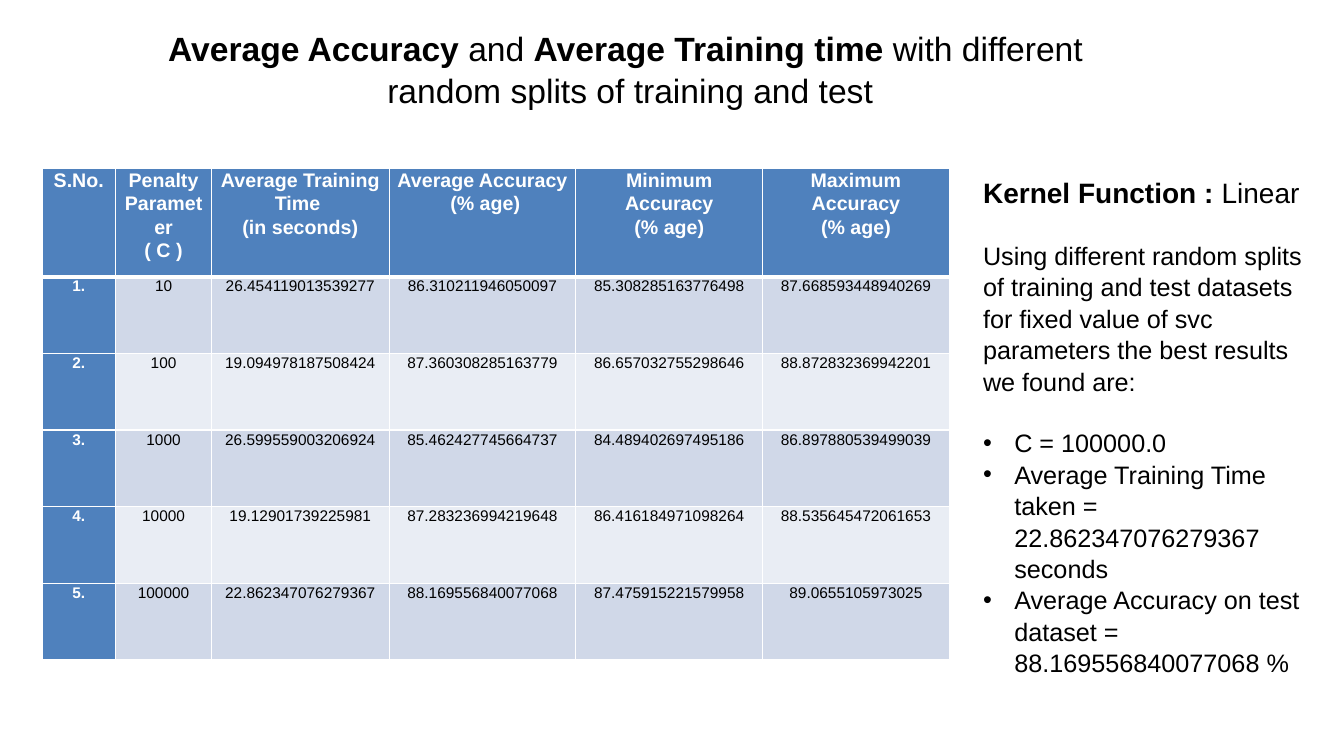
from dataclasses import dataclass

from lxml.etree import SubElement
from pptx import Presentation
from pptx.dml.color import RGBColor as RGB
from pptx.enum.text import MSO_ANCHOR as Anchor, MSO_AUTO_SIZE as AutoSize, PP_ALIGN as Align
from pptx.oxml import parse_xml
from pptx.oxml.ns import nsdecls, qn
from pptx.util import Inches, Pt


@dataclass(frozen=True)
class Theme:
    font: str = "Arial"
    ink: str = "000000"
    paper: str = "FFFFFF"
    accent: str = "4F81BD"
    bands: tuple = ("D0D8E8", "E9EDF4")
    title: int = 24
    heading: int = 20
    body: int = 18
    table_head: int = 14
    table_body: int = 11
    prose_spacing: float = 1.04
    table_spacing: float = 1.07


THEME = Theme()
UNIT = Inches(1 / 12)  # The slide is a grid of 160 columns by 90 rows

HEADERS = ["S.No.", "Penalty Parameter\n( C )", "Average Training Time \n(in seconds)",
           "Average Accuracy\n (% age)", "Minimum Accuracy\n(% age)", "Maximum Accuracy\n(% age)"]
RESULTS = [
    ["1.", "10", "26.454119013539277", "86.310211946050097", "85.308285163776498", "87.668593448940269"],
    ["2.", "100", "19.094978187508424", "87.360308285163779", "86.657032755298646", "88.872832369942201"],
    ["3.", "1000", "26.599559003206924", "85.462427745664737", "84.489402697495186", "86.897880539499039"],
    ["4.", "10000", "19.12901739225981", "87.283236994219648", "86.416184971098264", "88.535645472061653"],
    ["5.", "100000", "22.862347076279367", "88.169556840077068", "87.475915221579958", "89.0655105973025"],
]
COLUMN_SHARES = [0.73, 0.95, 1.76, 1.85, 1.85, 1.85]
ROW_SHARES = [1.08] + [0.76] * len(RESULTS)
BEST_RESULTS = ["C = 100000.0",
                "Average Training Time taken = 22.862347076279367 seconds",
                "Average Accuracy on test dataset = 88.169556840077068 %"]


def write(paragraph, text, size, color=THEME.ink, bold=False, align=Align.LEFT,
          spacing=THEME.prose_spacing, after=0):
    """Append one formatted run to a paragraph."""
    paragraph.alignment = align
    paragraph.line_spacing = spacing
    paragraph.space_before, paragraph.space_after = Pt(0), Pt(after)
    run = paragraph.add_run()
    run.text = text
    run.font.name, run.font.size, run.font.bold = THEME.font, Pt(size), bold
    run.font.color.rgb = RGB.from_string(color)


def place(placeholder, box, bottom):
    """Move a placeholder to its grid box and return its text frame."""
    placeholder.left, placeholder.top, placeholder.width, placeholder.height = (
        round(n * UNIT) for n in box)
    frame = placeholder.text_frame
    frame.word_wrap, frame.auto_size = True, AutoSize.NONE
    frame.vertical_anchor = Anchor.MIDDLE
    frame.margin_left = frame.margin_right = frame.margin_top = 0
    frame.margin_bottom = Inches(bottom)
    return frame


def add_bullet(paragraph):
    props = paragraph._p.get_or_add_pPr()
    props.set("marL", str(Inches(0.31)))
    props.set("indent", str(-Inches(0.31)))
    SubElement(props, qn("a:buFont"), typeface=THEME.font)
    SubElement(props, qn("a:buChar"), char="•")


def set_borders(cell, bottom=1, top=1):
    props = cell._tc.get_or_add_tcPr()
    for position, (side, width) in enumerate(zip("LRTB", (1, 1, top, bottom))):
        props.insert(position, parse_xml(
            f'<a:ln{side} {nsdecls("a")} w="{Pt(width)}"><a:solidFill>'
            f'<a:srgbClr val="{THEME.paper}"/></a:solidFill></a:ln{side}>'))


def build_title(slide, box):
    headline = place(slide.shapes.title, box, bottom=0.4).paragraphs[0]
    for text, bold in [("Average Accuracy", True), (" and ", False),
                       ("Average Training time", True), (" with different ", False)]:
        write(headline, text, THEME.title, bold=bold, align=Align.CENTER)
    headline.add_line_break()
    write(headline, "random splits of training and test", THEME.title, align=Align.CENTER)


def build_findings(slide, box):
    frame = place(slide.placeholders[1], box, bottom=0.3)
    gap = THEME.body * 1.2
    kernel = frame.paragraphs[0]
    write(kernel, "Kernel Function : ", THEME.heading, bold=True)
    write(kernel, "Linear", THEME.heading, after=gap)
    write(frame.add_paragraph(), "Using different random splits of training and test datasets for "
          "fixed value of svc parameters the best results we found are:", THEME.body, after=gap)
    for finding in BEST_RESULTS:
        item = frame.add_paragraph()
        write(item, finding, THEME.body)
        add_bullet(item)


def build_results(slide, box):
    left, top, width, height = (round(n * UNIT) for n in box)
    table = slide.shapes.add_table(len(ROW_SHARES), len(COLUMN_SHARES),
                                   left, top, width, height).table
    table.first_col = True
    for column, share in zip(table.columns, COLUMN_SHARES):
        column.width = round(width * share / sum(COLUMN_SHARES))
    for row, share in zip(table.rows, ROW_SHARES):
        row.height = round(height * share / sum(ROW_SHARES))

    for r, values in enumerate([HEADERS] + RESULTS):
        for c, value in enumerate(values):
            cell = table.cell(r, c)
            is_label = r == 0 or c == 0
            cell.margin_left = cell.margin_right = Inches(0.07)
            cell.margin_top = cell.margin_bottom = 0
            cell.fill.solid()
            cell.fill.fore_color.rgb = RGB.from_string(
                THEME.accent if is_label else THEME.bands[(r - 1) % 2])
            set_borders(cell, bottom=3 if r == 0 else 1, top=3 if r == 1 else 1)
            for i, line in enumerate(value.split("\n")):
                paragraph = cell.text_frame.add_paragraph() if i else cell.text_frame.paragraphs[0]
                write(paragraph, line, THEME.table_body if r else THEME.table_head,
                      color=THEME.paper if is_label else THEME.ink, bold=is_label,
                      align=Align.CENTER, spacing=THEME.table_spacing)


def main():
    deck = Presentation()
    deck.slide_width, deck.slide_height = Inches(13.33), Inches(7.5)
    slide = deck.slides.add_slide(deck.slide_layouts[0])
    # Boxes: left, top, width, height in grid units
    build_title(slide, (3, 3, 144, 15))
    build_findings(slide, (117, 15, 40, 75))
    build_results(slide, (5, 20, 108, 58.56))
    deck.save("out.pptx")


if __name__ == "__main__":
    main()
